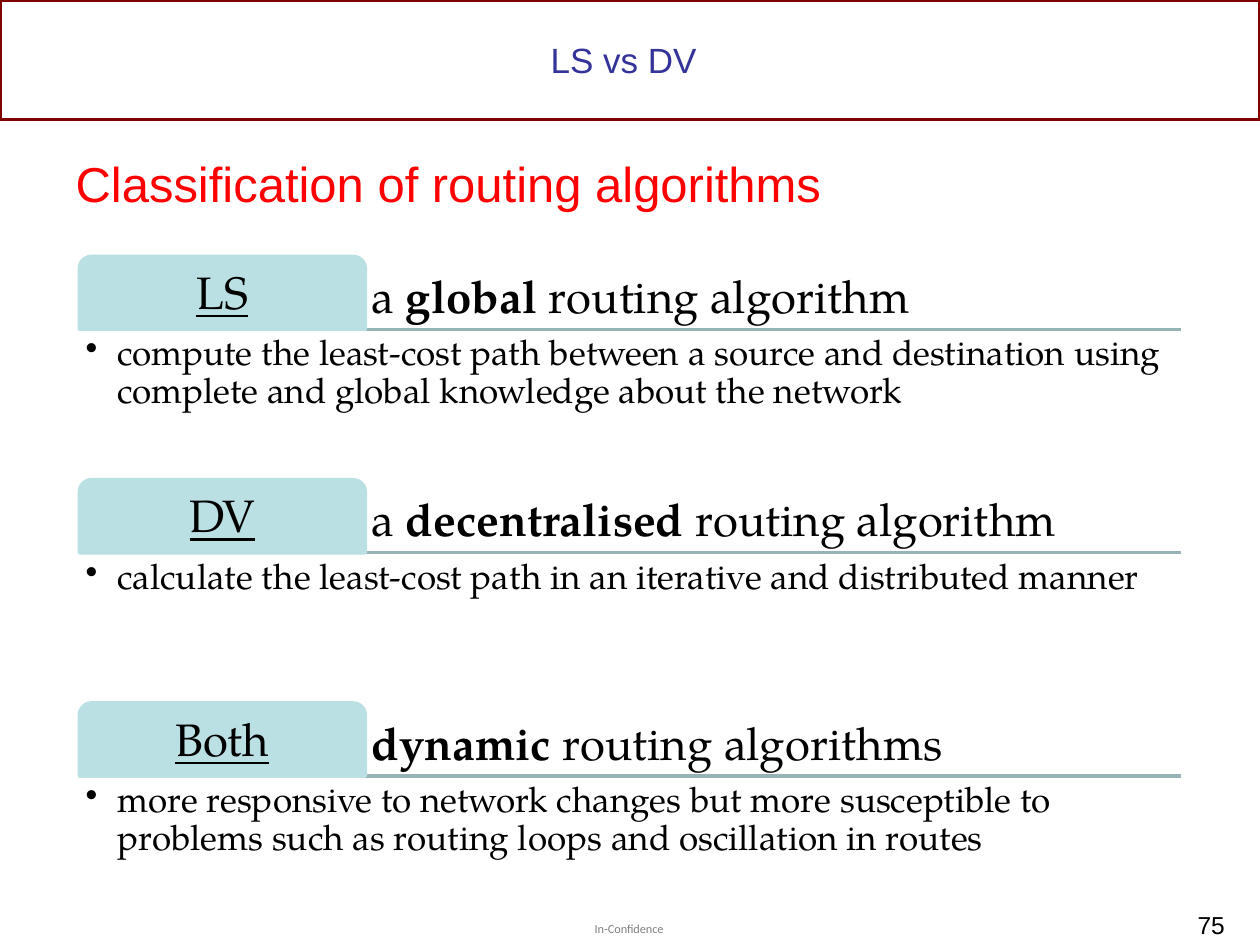
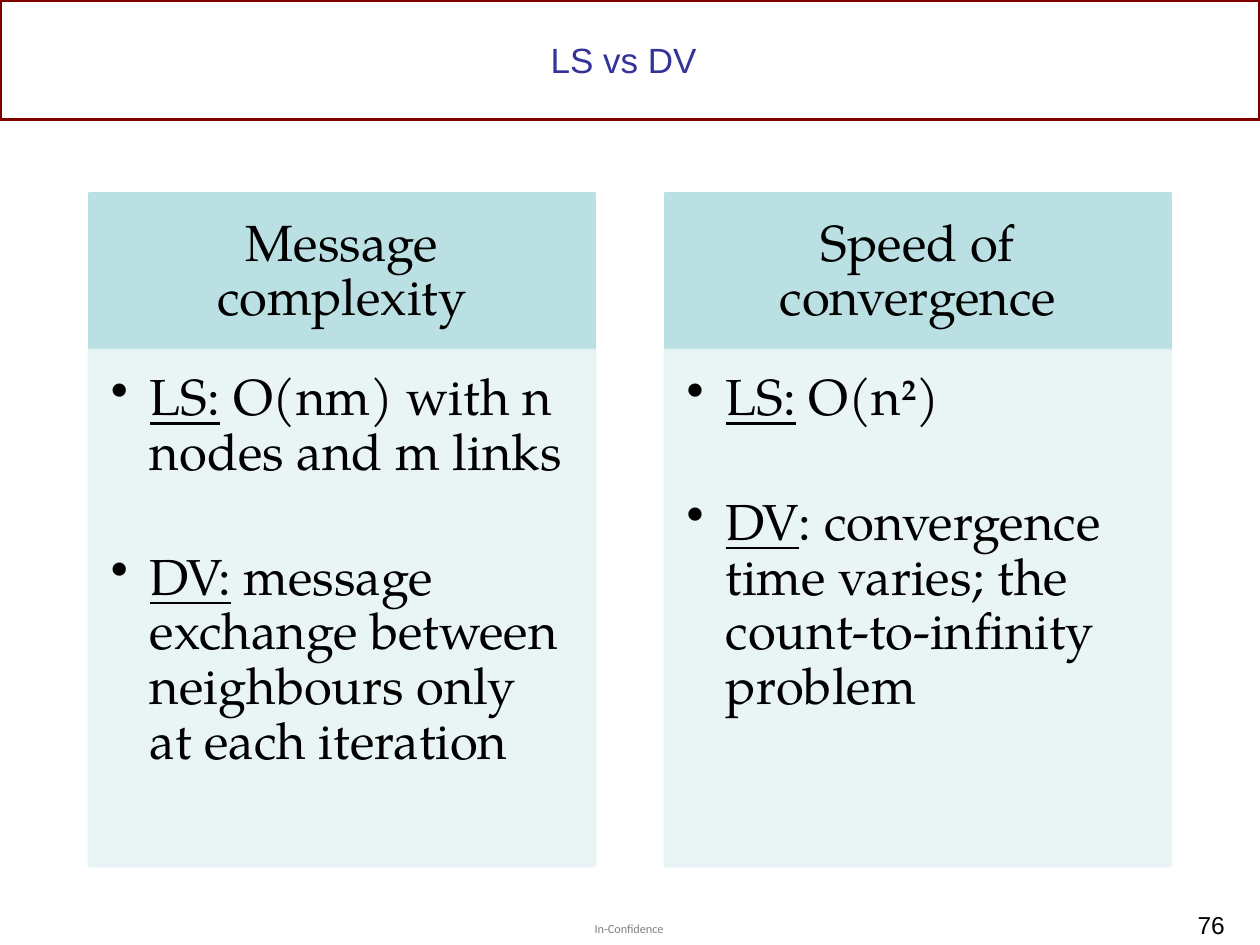
"""Builds two slides that compare LS and DV routing."""
from lxml import etree
from pptx import Presentation
from pptx.dml.color import RGBColor
from pptx.enum.shapes import MSO_CONNECTOR, MSO_SHAPE
from pptx.enum.text import MSO_ANCHOR, MSO_AUTO_SIZE, PP_ALIGN
from pptx.oxml.ns import qn
from pptx.util import Inches, Pt

LEFT, MID, RIGHT = PP_ALIGN.LEFT, PP_ALIGN.CENTER, PP_ALIGN.RIGHT
TOP, CENTRE, BASE = MSO_ANCHOR.TOP, MSO_ANCHOR.MIDDLE, MSO_ANCHOR.BOTTOM
RECT, TAB = MSO_SHAPE.RECTANGLE, MSO_SHAPE.ROUND_2_SAME_RECTANGLE
LINE, FIXED = MSO_CONNECTOR.STRAIGHT, MSO_AUTO_SIZE.NONE
COLS, ROWS = 100, 75
CELL = Inches(10) / COLS
SERIF, SANS, SMALL = "TeX Gyre Pagella", "Arial", "Calibri"
BLACK, MAROON, NAVY, RED = "000000", "800000", "333399", "FF0000"
TEAL, PALE, RULE = "BBE0E3", "E7F3F4", "96B3B6"
EDGE = (0.5, 0.5, 0.5, 0.5)
PLAIN = (1, 0.5, 1, 0.5)

TOPICS = [
    ("LS", [("a ", ""), ("global ", "b"), ("routing algorithm", "")],
     "compute the least-cost path between a source and destination using "
     "complete and global knowledge about the network"),
    ("DV", [("a ", ""), ("decentralised", "b"), (" routing algorithm", "")],
     "calculate the least-cost path in an iterative and distributed manner"),
    ("Both", [("dynamic", "b"), (" routing algorithms", "")],
     "more responsive to network changes but more susceptible to "
     "problems such as routing loops and oscillation in routes"),
]
CARDS = [
    ("Message complexity", [
        [("LS:", "u"), (" O(nm) with n nodes and m links", "")],
        [("DV:", "u"),
         (" message exchange between neighbours only at each iteration", "")]]),
    ("Speed of convergence", [
        [("LS:", "u"), (" O(n", ""), ("2", "bs"), (")", "")],
        [("DV", "u"),
         (": convergence time varies; the count-to-infinity problem", "")]]),
]


def cells(*counts):
    """Turn counts of grid cells into lengths."""
    return [round(count * CELL) for count in counts]


def tint(code):
    """Turn a hex string into a colour."""
    return RGBColor.from_string(code)


def fade(node, share):
    """Make the colours under a node partly clear."""
    for hue in node.iter(qn("a:srgbClr")):
        etree.SubElement(hue, qn("a:alpha"), val=str(share * 1000))


def write(shape, paras, size, face=SERIF, code=BLACK, align=LEFT, anchor=TOP,
          pad=EDGE, hang=0, dot=False, pitch=0.9, gap=0, wrap=True):
    """Fill a shape with paragraphs made of (text, style) runs."""
    frame = shape.text_frame
    frame.auto_size, frame.word_wrap = FIXED, wrap
    frame.vertical_anchor = anchor
    (frame.margin_left, frame.margin_top,
     frame.margin_right, frame.margin_bottom) = cells(*pad)
    for spot, runs in enumerate(paras):
        para = frame.add_paragraph() if spot else frame.paragraphs[0]
        para.alignment, para.line_spacing = align, pitch
        para.space_before, para.space_after = Pt(gap if spot else 0), Pt(0)
        props = para._p.get_or_add_pPr()
        indent = cells(hang)[0]
        props.set("marL", str(indent))
        props.set("indent", str(-indent))
        if dot:
            etree.SubElement(props, qn("a:buChar"), char="•")
        else:
            etree.SubElement(props, qn("a:buNone"))
        for text, style in runs:
            run = para.add_run()
            run.text = text
            font = run.font
            font.name, font.size = face, Pt(size)
            font.color.rgb = tint(code)
            font.bold, font.underline = "b" in style, "u" in style
            if "s" in style:
                run._r.get_or_add_rPr().set("baseline", "30000")


def label(slide, area, paras, size, **look):
    """Add a text box on the grid."""
    box = slide.shapes.add_textbox(*cells(*area))
    write(box, paras, size, **look)
    return box


def block(slide, kind, area, line, fill=None):
    """Add a preset shape on the grid."""
    shape = slide.shapes.add_shape(kind, *cells(*area))
    shape.shadow.inherit = False
    shape.line.color.rgb, shape.line.width = tint(line), Pt(2)
    if fill:
        shape.fill.solid()
        shape.fill.fore_color.rgb = tint(fill)
    else:
        shape.fill.background()
    return shape


def rule(slide, left, right, row):
    """Draw a level line."""
    line = slide.shapes.add_connector(LINE, *cells(left, row, right, row))
    line.line.color.rgb, line.line.width = tint(RULE), Pt(2)
    etree.SubElement(line._element.spPr, qn("a:effectLst"))


def place(shape, area):
    """Move a placeholder to a grid area."""
    shape.left, shape.top, shape.width, shape.height = cells(*area)


def start(deck, layout, title, page):
    """Add a slide with its band, title, footer and number."""
    slide = deck.slides.add_slide(deck.slide_layouts[layout])
    block(slide, RECT, (0, 0, COLS, 9.5), MAROON)
    place(slide.shapes.title, (0.8, 0.8, 97.4, 7.9))
    write(slide.shapes.title, [[(title, "")]], 20, face=SANS, code=NAVY,
          align=MID, anchor=CENTRE, pad=PLAIN, pitch=1)
    foot = label(slide, (47.2, 73.1, 5.7, 1.2), [[("In-Confidence", "")]], 7,
                 face=SMALL, pad=(0, 0, 0, 0), pitch=1, wrap=False)
    fade(foot._element, 50)
    label(slide, (76.2, 71.7, 22, 3), [[(str(page), "")]], 14, face=SANS,
          align=RIGHT, pad=PLAIN, pitch=1)
    return slide


def topic(slide, row, name, head, note):
    """Add a tab with its heading, line and note."""
    left, wide, tab, high = 6.3, 87.4, 22.7, 5.8
    foot = row + high
    rule(slide, left, left + wide, foot)
    label(slide, (left + tab, row, wide - tab, high), [head], 26, anchor=BASE)
    shape = block(slide, TAB, (left, row, tab, high), TEAL, TEAL)
    write(shape, [[(name, "u")]], 26, align=MID, anchor=CENTRE)
    label(slide, (left, foot, wide, 11.6), [[(note, "")]], 20,
          hang=2.5, dot=True)


def card(slide, left, head, notes):
    """Add a column with a header and a list."""
    row, wide, high = 15.4, 40.1, 12.4
    top = block(slide, RECT, (left, row, wide, high), TEAL, TEAL)
    write(top, [[(head, "")]], 29, align=MID, anchor=CENTRE,
          pad=(2.3, 1.3, 2.3, 1.3))
    body = block(slide, RECT, (left, row + high, wide, 40.9), PALE, PALE)
    fade(body._element.spPr, 90)
    write(body, notes, 29, pad=(1.7, 1.7, 2.3, 2.5), hang=3.1, dot=True,
          gap=40)


def main():
    """Build and save the slides."""
    deck = Presentation()
    deck.slide_width, deck.slide_height = cells(COLS, ROWS)
    title = "LS vs DV"

    slide = start(deck, 1, title, 75)
    body = slide.placeholders[1]
    place(body, (5, 11.7, 90, 7.9))
    write(body, [[("Classification of routing algorithms", "")]], 28,
          face=SANS, code=RED, pad=PLAIN, hang=3.8, pitch=1)
    for spot, parts in enumerate(TOPICS):
        topic(slide, 20.35 + spot * 17.72, *parts)

    slide = start(deck, 5, title, 76)
    for spot, parts in enumerate(CARDS):
        card(slide, 7.1 + spot * 45.7, *parts)
    deck.save("out.pptx")


if __name__ == "__main__":
    main()
